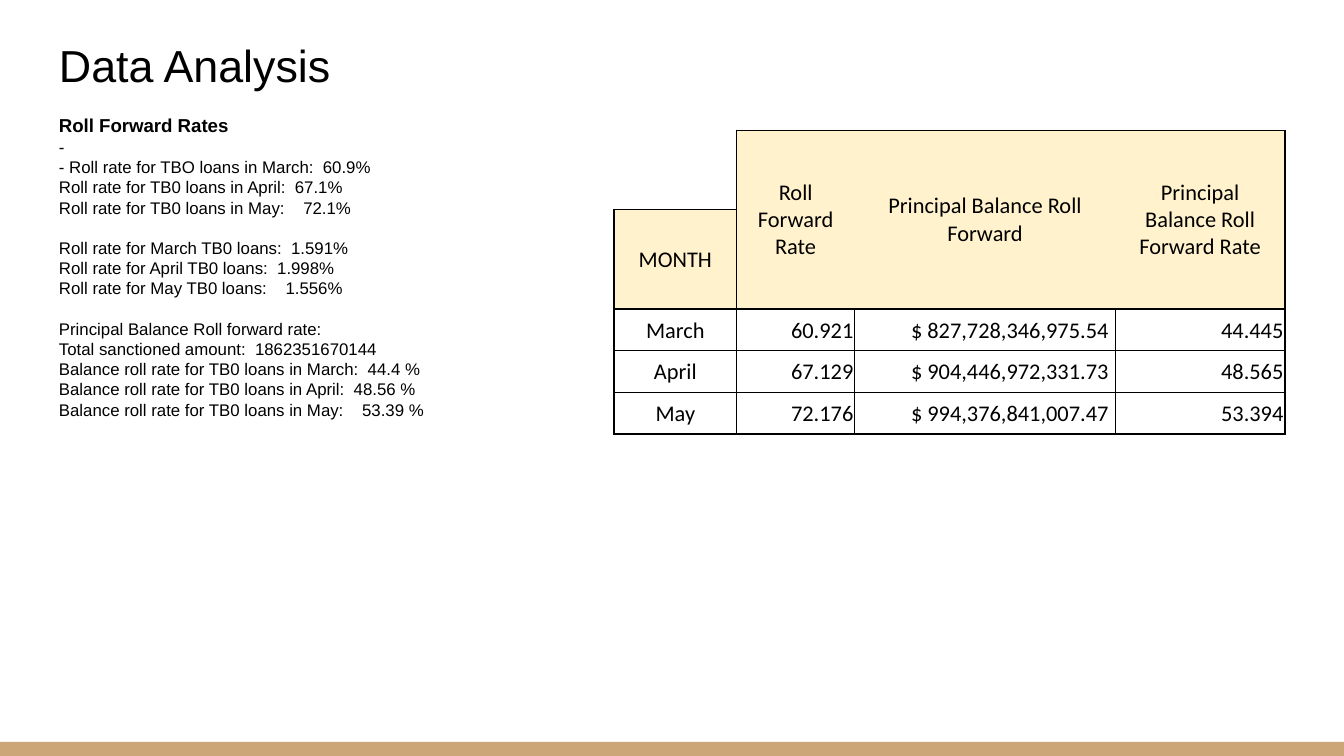
from lxml import etree
from pptx import Presentation
from pptx.dml.color import RGBColor
from pptx.enum.shapes import MSO_SHAPE
from pptx.enum.text import MSO_ANCHOR, PP_ALIGN
from pptx.oxml.ns import qn
from pptx.util import Inches, Pt

RECTANGLE = MSO_SHAPE.RECTANGLE
TOP, MIDDLE, BOTTOM = MSO_ANCHOR.TOP, MSO_ANCHOR.MIDDLE, MSO_ANCHOR.BOTTOM
CENTER, RIGHT = PP_ALIGN.CENTER, PP_ALIGN.RIGHT

BLACK, TAN, CREAM = "000000", "CCA677", "FFF2CC"
THICK, THIN = 1, 0.5
GROUP_GAP = 10.8

RATE_GROUPS = [
    ["-",
     "- Roll rate for TBO loans in March:  60.9%",
     "Roll rate for TB0 loans in April:  67.1%",
     "Roll rate for TB0 loans in May:    72.1%"],
    ["Roll rate for March TB0 loans:  1.591%",
     "Roll rate for April TB0 loans:  1.998%",
     "Roll rate for May TB0 loans:    1.556%"],
    ["Principal Balance Roll forward rate:",
     "Total sanctioned amount:  1862351670144",
     "Balance roll rate for TB0 loans in March:  44.4 %",
     "Balance roll rate for TB0 loans in April:  48.56 %",
     "Balance roll rate for TB0 loans in May:    53.39 %"],
]
HEADERS = ["Roll Forward Rate", "Principal Balance Roll Forward",
           "Principal Balance Roll Forward Rate"]
MONTHS = [
    ["March", "60.921", "$ 827,728,346,975.54", "44.445"],
    ["April", "67.129", "$ 904,446,972,331.73", "48.565"],
    ["May", "72.176", "$ 994,376,841,007.47", "53.394"],
]
COLUMN_WIDTHS = [0.91, 0.88, 1.94, 1.26]
ROW_HEIGHTS = [0.59, 0.2, 0.31, 0.31, 0.31]
HEADER_MARGINS = (0.13, 0.07, 0.13, 0.07)
CELL_MARGINS = (0.01, 0.01, 0.01, 0)
AMOUNT_MARGINS = (0.01, 0.01, 0.05, 0)
AMOUNT_COLUMN = 2
LAST_COLUMN, LAST_ROW = len(COLUMN_WIDTHS) - 1, len(ROW_HEIGHTS) - 1


def color(hex_code):
    return RGBColor.from_string(hex_code)


def add_run(paragraph, text, size, font="Arial", bold=False):
    run = paragraph.add_run()
    run.text = text
    run.font.name = font
    run.font.size = Pt(size)
    run.font.bold = bold
    run.font.color.rgb = color(BLACK)


def set_margins(holder, margins):
    (holder.margin_left, holder.margin_top,
     holder.margin_right, holder.margin_bottom) = map(Inches, margins)


def add_text_frame(slide, left, top, width, height, anchor):
    box = slide.shapes.add_textbox(Inches(left), Inches(top),
                                   Inches(width), Inches(height))
    frame = box.text_frame
    frame.word_wrap = True
    frame.vertical_anchor = anchor
    set_margins(frame, (0.1, 0.1, 0.1, 0.1))
    return frame


def add_footer_band(slide):
    band = slide.shapes.add_shape(RECTANGLE, Inches(0), Inches(5.52),
                                  Inches(10), Inches(0.11))
    band.shadow.inherit = False
    band.fill.solid()
    band.fill.fore_color.rgb = color(TAN)
    band.line.fill.background()


def add_rates(slide):
    frame = add_text_frame(slide, 0.34, 0.75, 3.31, 3.96, TOP)
    add_run(frame.paragraphs[0], "Roll Forward Rates", 10, bold=True)
    for group_index, group in enumerate(RATE_GROUPS):
        for line_index, line in enumerate(group):
            paragraph = frame.add_paragraph()
            if group_index and not line_index:
                paragraph.space_before = Pt(GROUP_GAP)
            add_run(paragraph, line, 9)


def set_borders(cell, widths):
    """Draw the sides named in widths (L, R, T, B) and clear the others."""
    properties = cell._tc.get_or_add_tcPr()
    for side in "LRTB":
        line = etree.SubElement(properties, qn(f"a:ln{side}"))
        if side in widths:
            line.set("w", str(Pt(widths[side])))
            fill = etree.SubElement(line, qn("a:solidFill"))
            etree.SubElement(fill, qn("a:srgbClr"), val=BLACK)
        else:
            etree.SubElement(line, qn("a:noFill"))


def format_cell(cell, borders, fill=None):
    set_borders(cell, borders)
    if fill:
        cell.fill.solid()
        cell.fill.fore_color.rgb = color(fill)
    else:
        cell.fill.background()


def write_cell(cell, text, align, margins):
    cell.vertical_anchor = MIDDLE
    set_margins(cell, margins)
    paragraph = cell.text_frame.paragraphs[0]
    paragraph.alignment = align
    add_run(paragraph, text, 12, "Calibri")


def add_header_rows(table):
    format_cell(table.cell(0, 0), {"R": THICK, "B": THICK})
    format_cell(table.cell(1, 0), dict.fromkeys("LRTB", THICK), CREAM)
    write_cell(table.cell(1, 0), "MONTH", CENTER, CELL_MARGINS)
    for column, header in enumerate(HEADERS, start=1):
        sides = "TB" + ("L" if column == 1 else "")
        sides += "R" if column == LAST_COLUMN else ""
        upper, lower = table.cell(0, column), table.cell(1, column)
        format_cell(upper, dict.fromkeys(sides, THICK), CREAM)
        format_cell(lower, dict.fromkeys(sides.replace("T", ""), THICK), CREAM)
        upper.merge(lower)
        write_cell(upper, header, CENTER, HEADER_MARGINS)


def add_month_rows(table):
    for row, values in enumerate(MONTHS, start=2):
        for column, value in enumerate(values):
            outer = {"L": column == 0, "R": column == LAST_COLUMN,
                     "T": row == 2, "B": row == LAST_ROW}
            cell = table.cell(row, column)
            format_cell(cell, {side: THICK if is_outer else THIN
                               for side, is_outer in outer.items()})
            write_cell(cell, value, RIGHT if column else CENTER,
                       AMOUNT_MARGINS if column == AMOUNT_COLUMN else CELL_MARGINS)


def add_rate_table(slide):
    table = slide.shapes.add_table(
        len(ROW_HEIGHTS), len(COLUMN_WIDTHS), Inches(4.57), Inches(0.97),
        Inches(sum(COLUMN_WIDTHS)), Inches(sum(ROW_HEIGHTS))).table
    table.first_row = table.horz_banding = False
    for column, width in zip(table.columns, COLUMN_WIDTHS):
        column.width = Inches(width)
    for row, height in zip(table.rows, ROW_HEIGHTS):
        row.height = Inches(height)
    add_header_rows(table)
    add_month_rows(table)


def main():
    presentation = Presentation()
    # Widescreen, 16:9
    presentation.slide_width = Inches(10)
    presentation.slide_height = Inches(10) * 9 // 16
    slide = presentation.slides.add_slide(presentation.slide_layouts[6])

    # Footer band, rates on the left, title above them
    add_footer_band(slide)
    add_rates(slide)
    title = add_text_frame(slide, 0.34, 0.15, 3.51, 0.63, BOTTOM)
    add_run(title.paragraphs[0], "Data Analysis", 24)

    # Monthly figures on the right
    add_rate_table(slide)

    presentation.save("out.pptx")


if __name__ == "__main__":
    main()
